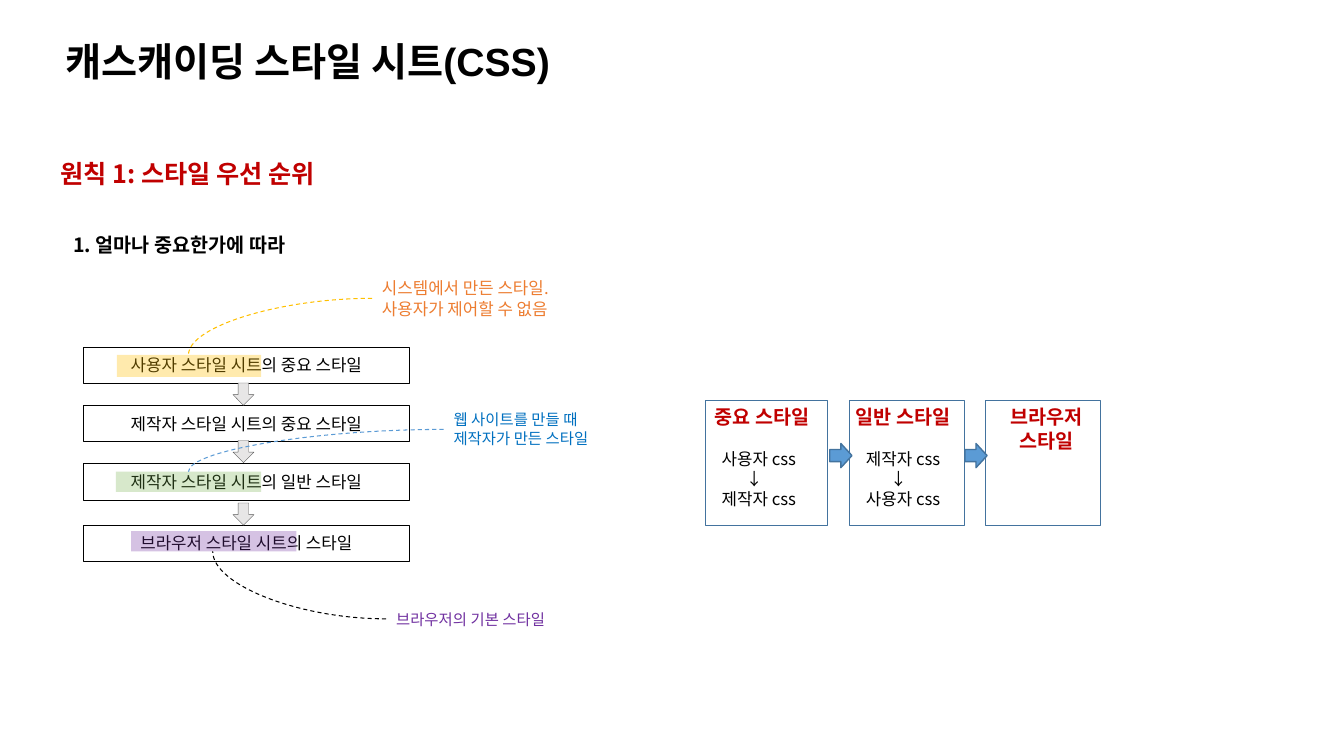
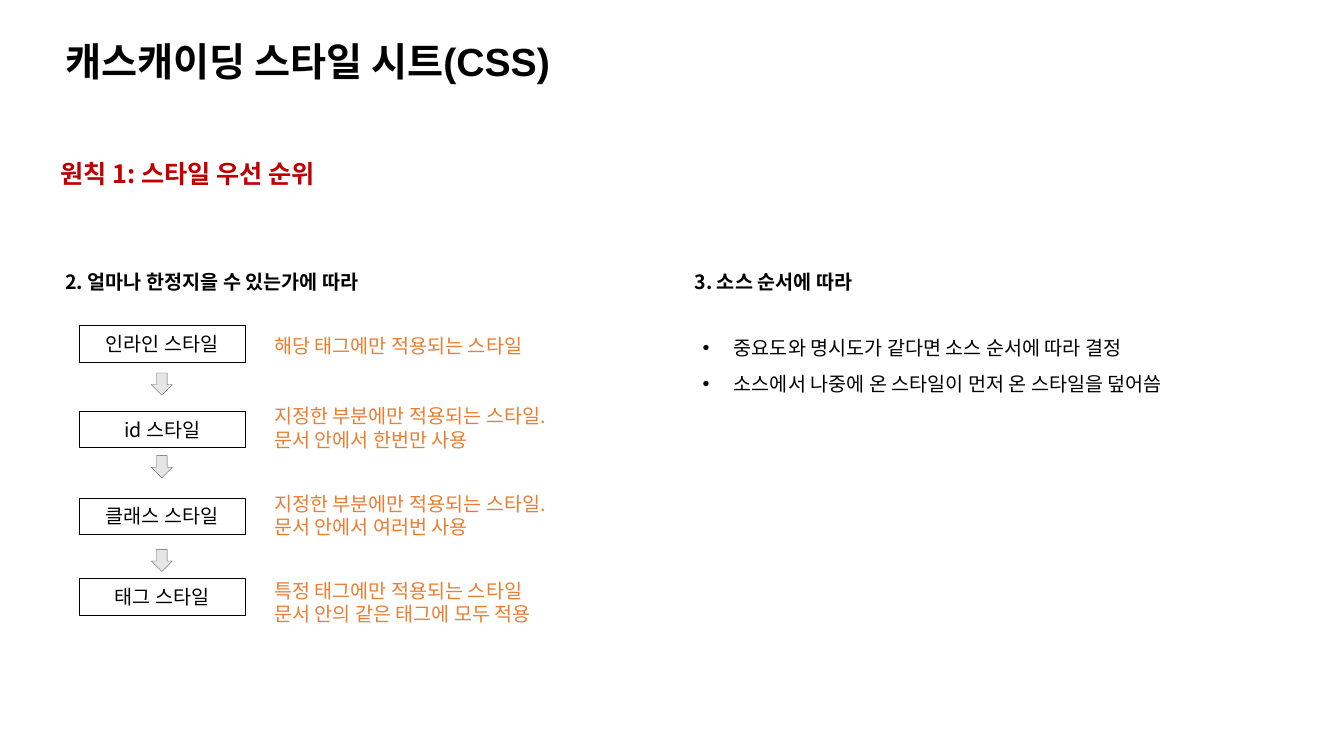
from dataclasses import dataclass

from lxml.etree import SubElement as Sub
from pptx import Presentation as Deck
from pptx.dml.color import RGBColor as Rgb
from pptx.enum.dml import MSO_LINE as Dash
from pptx.enum.shapes import MSO_CONNECTOR as Link, MSO_SHAPE as Geo
from pptx.enum.text import MSO_ANCHOR as Anchor, PP_ALIGN as Align
from pptx.oxml.ns import qn
from pptx.util import Inches, Pt


@dataclass(frozen=True)
class Theme:
    # Fonts
    latin: str = "Arial"
    hangul: str = "Noto Sans CJK KR"
    # Colours
    black: str = "000000"
    red: str = "C00000"
    orange: str = "ED7D31"
    gold: str = "FFC000"
    green: str = "70AD47"
    blue: str = "0070C0"
    sky: str = "5B9BD5"
    navy: str = "43739E"
    purple: str = "7030A0"
    pale: str = "E7E6E6"
    gray: str = "595959"
    # Type sizes
    title: int = 28
    rule: int = 18
    head: int = 14
    body: int = 12
    note: int = 11
    # Line widths
    thin: float = 0.25
    dash: float = 0.75


T = Theme()


# Text
def style(run, size, color, bold, face):
    font = run.font
    font.name, font.size, font.bold = face, Pt(size), bold
    font.color.rgb = Rgb.from_string(color)
    Sub(run._r.get_or_add_rPr(), qn("a:ea")).set("typeface", T.hangul)


def write(frame, text, size, color=T.black, bold=False, align=Align.LEFT, face=T.hangul):
    """Each text in the list is a paragraph; a newline is a line break."""
    frame.word_wrap = True
    for i, line in enumerate(text):
        para = frame.add_paragraph() if i else frame.paragraphs[0]
        para.alignment = align
        for j, part in enumerate(line.split("\n")):
            if j:
                para.add_line_break()
            run = para.add_run()
            run.text = part
            style(run, size, color, bold, face)


def label(slide, at, text, size, **look):
    frame = slide.shapes.add_textbox(*map(Inches, at)).text_frame
    write(frame, text, size, **look)
    return frame


def indent(para, left, first=0):
    props = para._p.get_or_add_pPr()
    props.set("marL", str(Inches(left)))
    props.set("indent", str(Inches(first)))
    return props


def bullets(slide, at, text):
    frame = label(slide, at, text, T.head, face=T.latin)
    for para in frame.paragraphs:
        para.line_spacing = 1.5
        props = indent(para, 0.31, -0.31)
        Sub(props, qn("a:buFont")).set("typeface", T.latin)
        Sub(props, qn("a:buChar")).set("char", "•")


# Shapes
def shape(slide, kind, at, fill=None, line=None, width=T.thin):
    item = slide.shapes.add_shape(kind, *map(Inches, at))
    item.shadow.inherit = False
    if fill:
        item.fill.solid()
        item.fill.fore_color.rgb = Rgb.from_string(fill)
    else:
        item.fill.background()
    if line:
        item.line.color.rgb = Rgb.from_string(line)
        item.line.width = Pt(width)
    else:
        item.line.fill.background()
    return item


def tint(slide, at, color, alpha):
    """See-through marker over part of a box."""
    item = shape(slide, Geo.RECTANGLE, at, color)
    tone = item._element.spPr.find(qn("a:solidFill"))[0]
    Sub(tone, qn("a:alpha")).set("val", str(alpha * 1000))


def curve(slide, start, end, color):
    """Dashed quarter bend that leaves its start sideways."""
    item = slide.shapes.add_connector(Link.CURVE, *map(Inches, start + end))
    item.line.color.rgb = Rgb.from_string(color)
    item.line.width = Pt(T.dash)
    item.line.dash_style = Dash.DASH
    props = item._element.spPr
    props.find(qn("a:prstGeom")).set("prst", "curvedConnector2")
    Sub(props, qn("a:effectLst"))


def ladder(slide, left, width, size, steps, drops, mid):
    """Column of boxes with down arrows between them."""
    for top, text in steps:
        box = shape(slide, Geo.RECTANGLE, (left, top, width, 0.36), line=T.black)
        box.text_frame.vertical_anchor = Anchor.MIDDLE
        write(box.text_frame, [text], size, align=Align.CENTER)
    for top in drops:
        shape(slide, Geo.DOWN_ARROW, (mid, top, 0.21, 0.22), T.pale, T.gray)


def card(slide, left, width, shift, head, order, align=Align.LEFT):
    """Framed style group, with its order of precedence."""
    shape(slide, Geo.RECTANGLE, (left, 3.97, width, 1.24), line=T.navy)
    if order:
        frame = label(slide, (left + 0.07, 4.4, 1.07, 0.71), order, T.body)
        indent(frame.paragraphs[1], 0.24)
    label(slide, (left + shift, 3.97, 1.28, 0.34), head, T.head,
          color=T.red, bold=True, align=align)


def heading(slide, left, top, text):
    label(slide, (left, top, 3.57, 0.34), [text], T.head, bold=True)


def page(deck):
    """New slide with the shared title and rule line."""
    slide = deck.slides.add_slide(deck.slide_layouts[6])
    frame = label(slide, (0.55, 0.27, 9.94, 0.73), ["캐스캐이딩 스타일 시트(CSS)"],
                  T.title, bold=True, face=T.latin)
    frame.vertical_anchor = Anchor.MIDDLE
    frame.paragraphs[0].line_spacing = 0.9
    label(slide, (0.5, 1.52, 5.48, 0.4), ["원칙 1: 스타일 우선 순위"],
          T.rule, color=T.red, bold=True)
    return slide


# Slides
def weight(deck):
    slide = page(deck)
    heading(slide, 0.63, 2.26, "1. 얼마나 중요한가에 따라")
    steps = [
        (3.44, "사용자 스타일 시트의 중요 스타일"),
        (4.02, "제작자 스타일 시트의 중요 스타일"),
        (4.6, "제작자 스타일 시트의 일반 스타일"),
        (5.21, "브라우저 스타일 시트의 스타일"),
    ]
    ladder(slide, 0.83, 3.23, T.body, steps, (3.8, 4.37, 4.99), 2.31)

    # Cards of style groups
    card(slide, 6.99, 1.21, 0, ["중요 스타일"], ["사용자 css", "↓", "제작자 css"])
    card(slide, 8.42, 1.14, -0.03, ["일반 스타일"], ["제작자 css", "↓", "사용자 css"])
    card(slide, 9.77, 1.14, -0.03, ["브라우저", "스타일"], None, Align.CENTER)
    for left in (8.23, 9.57):
        shape(slide, Geo.RIGHT_ARROW, (left, 4.4, 0.22, 0.24), T.sky, T.navy, 1)

    # Markers, each with a note and a curve
    notes = [
        ((1.16, 3.52, 1.43, 0.22), T.gold, 32,
         (3.69, 2.71, 2.24, 0.5), "시스템에서 만든 스타일. 사용자가 제어할 수 없음",
         T.body, T.orange, (3.69, 2.96), (1.87, 3.52), T.gold),
        ((1.15, 4.68, 1.44, 0.2), T.green, 28,
         (4.4, 4.02, 1.74, 0.47), "웹 사이트를 만들 때 제작자가 만든 스타일",
         T.note, T.blue, (4.4, 4.26), (1.87, 4.68), T.sky),
        ((1.3, 5.27, 1.64, 0.2), T.purple, 29,
         (3.83, 6, 1.95, 0.29), "브라우저의 기본 스타일",
         T.note, T.purple, (3.83, 6.14), (2.11, 5.47), T.black),
    ]
    for mark, fill, alpha, at, text, size, ink, start, end, line in notes:
        tint(slide, mark, fill, alpha)
        label(slide, at, [text], size, color=ink)
        curve(slide, start, end, line)


def scope(deck):
    slide = page(deck)
    heading(slide, 0.55, 2.63, "2. 얼마나 한정지을 수 있는가에 따라")
    steps = [(3.23, "인라인 스타일"), (4.08, "id 스타일"),
             (4.94, "클래스 스타일"), (5.74, "태그 스타일")]
    ladder(slide, 0.79, 1.64, T.head, steps, (3.7, 4.52, 5.45), 1.5)

    # Notes beside the boxes
    notes = [
        (3.26, ["해당 태그에만 적용되는 스타일"]),
        (3.96, ["지정한 부분에만 적용되는 스타일.\n문서 안에서 한번만 사용"]),
        (4.83, ["지정한 부분에만 적용되는 스타일.\n문서 안에서 여러번 사용"]),
        (5.69, ["특정 태그에만 적용되는 스타일", "문서 안의 같은 태그에 모두 적용"]),
    ]
    for top, text in notes:
        label(slide, (2.62, top, 4.19, 0.57), text, T.head, color=T.orange)

    # Source order
    heading(slide, 6.79, 2.63, "3. 소스 순서에 따라")
    bullets(slide, (6.87, 3.17, 5.68, 0.81), [
        "중요도와 명시도가 같다면 소스 순서에 따라 결정",
        "소스에서 나중에 온 스타일이 먼저 온 스타일을 덮어씀",
    ])


def main():
    deck = Deck()
    deck.slide_width, deck.slide_height = Inches(13.33), Inches(7.5)
    weight(deck)
    scope(deck)
    deck.save("out.pptx")


if __name__ == "__main__":
    main()
